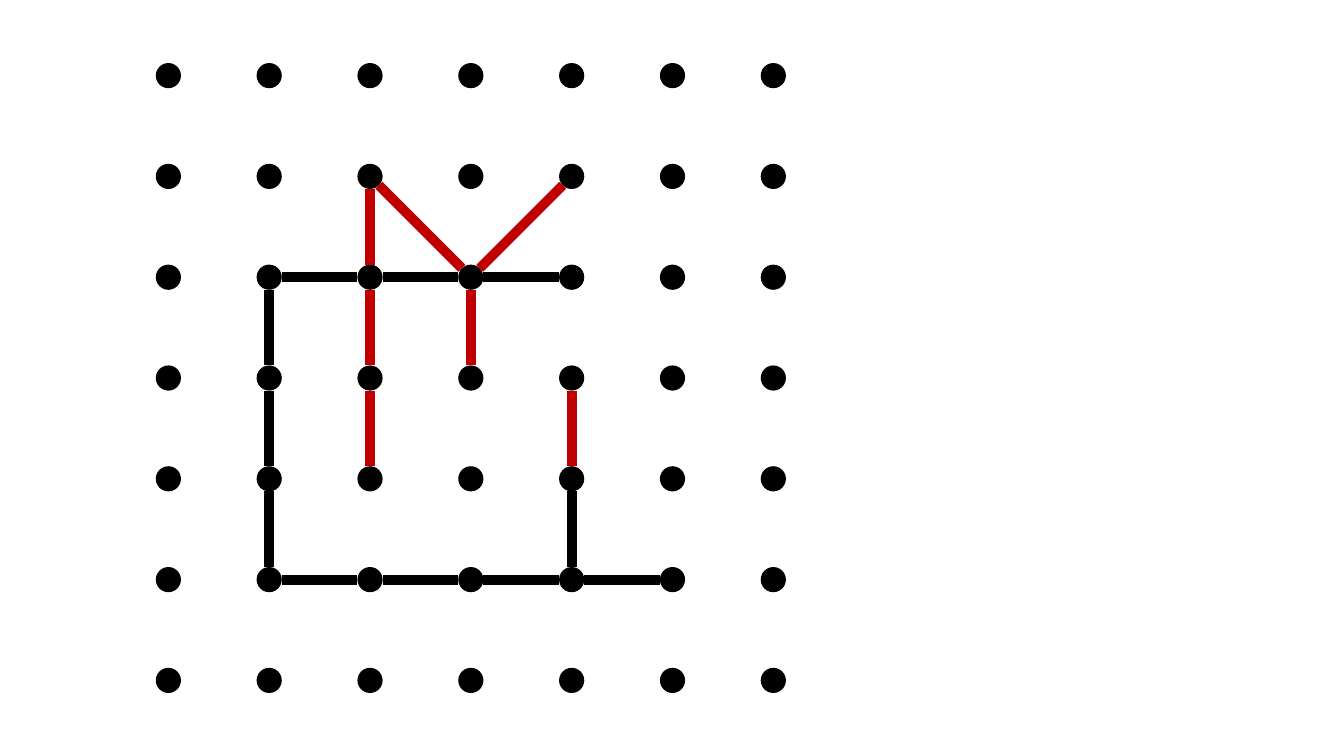
import itertools
import math
from typing import NamedTuple

import lxml.etree
import pptx
import pptx.dml.color
import pptx.enum.shapes
import pptx.oxml.ns
import pptx.util
from pptx.util import Inches

BLACK = "000000"
RED = "C00000"
GRID_SIZE = 7
PITCH = 1.0
FIRST_X, FIRST_Y = 1.67, 0.75
RADIUS = 0.125


class Dot(NamedTuple):
    column: int
    row: int

    @property
    def x(self) -> float:
        return FIRST_X + self.column * PITCH

    @property
    def y(self) -> float:
        return FIRST_Y + self.row * PITCH


class Trail(NamedTuple):
    color: str
    dots: list[Dot]


TRAILS = [
    Trail(BLACK, [Dot(column, 2) for column in range(1, 5)]),
    Trail(BLACK, [Dot(1, row) for row in range(2, 6)]),
    Trail(BLACK, [Dot(column, 5) for column in range(1, 6)]),
    Trail(BLACK, [Dot(4, 5), Dot(4, 4)]),
    Trail(RED, [Dot(2, 4), Dot(2, 3), Dot(2, 2), Dot(2, 1), Dot(3, 2), Dot(4, 1)]),
    Trail(RED, [Dot(3, 2), Dot(3, 3)]),
    Trail(RED, [Dot(4, 3), Dot(4, 4)]),
]


def rgb(color: str) -> pptx.dml.color.RGBColor:
    return pptx.dml.color.RGBColor.from_string(color)


def draw_dot(slide, dot: Dot) -> None:
    circle = slide.shapes.add_shape(
        pptx.enum.shapes.MSO_SHAPE.OVAL,
        Inches(dot.x - RADIUS), Inches(dot.y - RADIUS),
        Inches(2 * RADIUS), Inches(2 * RADIUS),
    )
    circle.shadow.inherit = False
    circle.fill.solid()
    circle.fill.fore_color.rgb = rgb(BLACK)
    circle.line.fill.background()


def draw_segment(slide, start: Dot, end: Dot, color: str) -> None:
    distance = math.dist((start.x, start.y), (end.x, end.y))
    trim_x = (end.x - start.x) * RADIUS / distance
    trim_y = (end.y - start.y) * RADIUS / distance
    segment = slide.shapes.add_connector(
        pptx.enum.shapes.MSO_CONNECTOR.STRAIGHT,
        Inches(start.x + trim_x), Inches(start.y + trim_y),
        Inches(end.x - trim_x), Inches(end.y - trim_y),
    )
    segment.line.color.rgb = rgb(color)
    segment.line.width = pptx.util.Pt(7)
    lxml.etree.SubElement(segment._element.spPr, pptx.oxml.ns.qn("a:effectLst"))


presentation = pptx.Presentation()
presentation.slide_width = Inches(13.33)
presentation.slide_height = Inches(7.5)
slide = presentation.slides.add_slide(presentation.slide_layouts[6])

for row, column in itertools.product(range(GRID_SIZE), repeat=2):
    draw_dot(slide, Dot(column, row))

for trail in TRAILS:
    for start, end in itertools.pairwise(trail.dots):
        draw_segment(slide, start, end, trail.color)

presentation.save("out.pptx")
